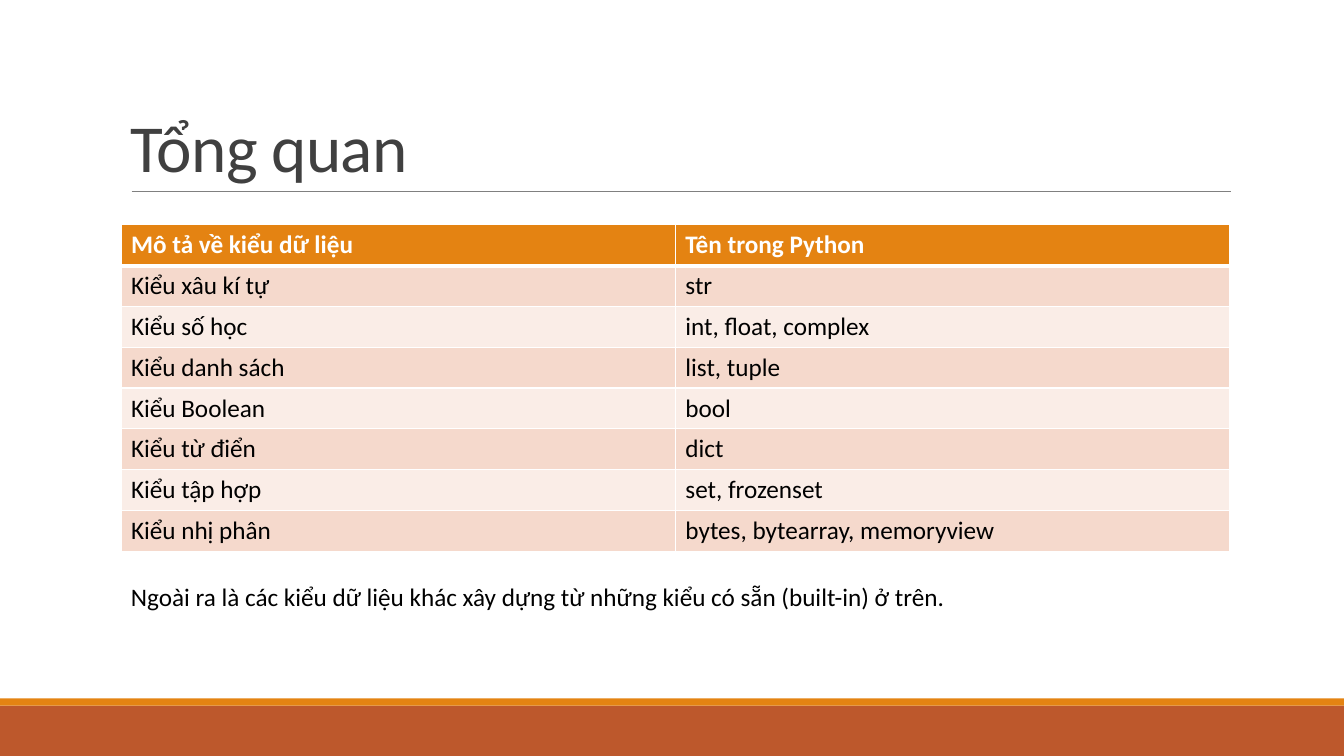
"""Build a slide that lists Python data types in a table."""
from lxml.etree import SubElement
from pptx import Presentation
from pptx.dml.color import RGBColor
from pptx.enum.shapes import MSO_CONNECTOR as CONN, MSO_SHAPE as SHAPE
from pptx.enum.text import MSO_ANCHOR as ANCHOR
from pptx.oxml.ns import qn
from pptx.util import Pt

COLORS = {"rust": "BD582C", "orange": "E48312", "rule": "808080",
          "title": "404040", "text": "000000", "white": "FFFFFF",
          "odd": "F5D9CC", "even": "FAEDE7"}
FONT = "Calibri"
LEFT, WIDTH = 86.4, 792
ROW_HEIGHT = 29.16
ROWS = [
    ("Mô tả về kiểu dữ liệu", "Tên trong Python"),
    ("Kiểu xâu kí tự", "str"),
    ("Kiểu số học", "int, float, complex"),
    ("Kiểu danh sách", "list, tuple"),
    ("Kiểu Boolean", "bool"),
    ("Kiểu từ điển", "dict"),
    ("Kiểu tập hợp", "set, frozenset"),
    ("Kiểu nhị phân", "bytes, bytearray, memoryview"),
]


def rgb(name):
    return RGBColor.from_string(COLORS[name])


def set_text(tf, text, size, color, bold=False):
    p = tf.paragraphs[0]
    r = p.add_run()
    r.text = text
    font = p.font
    font.name, font.size, font.bold = FONT, Pt(size), bold
    font.color.rgb = rgb(color)
    return p


def add_band(s, top, height, color):
    sp = s.shapes.add_shape(SHAPE.RECTANGLE, 0, Pt(top), Pt(960), Pt(height))
    sp.shadow.inherit = False
    sp.fill.solid()
    sp.fill.fore_color.rgb = rgb(color)
    sp.line.fill.background()


def add_rule(s, x1, x2, y):
    line = s.shapes.add_connector(CONN.STRAIGHT, Pt(x1), Pt(y), Pt(x2), Pt(y))
    line.line.color.rgb = rgb("rule")
    line.line.width = Pt(0.5)
    SubElement(line._element.spPr, qn("a:effectLst"))


def add_text(s, top, height, text, size, color, anchor=ANCHOR.TOP):
    box = s.shapes.add_textbox(Pt(LEFT), Pt(top), Pt(WIDTH), Pt(height))
    tf = box.text_frame
    tf.word_wrap = True
    tf.vertical_anchor = anchor
    return set_text(tf, text, size, color)


def add_borders(cell, top, bottom):
    tcPr = cell._tc.get_or_add_tcPr()
    for side, width in (("L", 1), ("R", 1), ("T", top), ("B", bottom)):
        ln = SubElement(tcPr, qn(f"a:ln{side}"), w=str(Pt(width)))
        fill = SubElement(ln, qn("a:solidFill"))
        SubElement(fill, qn("a:srgbClr"), val=COLORS["white"])


def add_types_table(s, top):
    n_rows, n_cols = len(ROWS), len(ROWS[0])
    table = s.shapes.add_table(n_rows, n_cols, Pt(LEFT), Pt(top), Pt(WIDTH),
                               Pt(ROW_HEIGHT * n_rows)).table
    for i, texts in enumerate(ROWS):
        table.rows[i].height = Pt(ROW_HEIGHT)
        header = i == 0
        fill = "orange" if header else "odd" if i % 2 else "even"
        for j, text in enumerate(texts):
            cell = table.cell(i, j)
            add_borders(cell, 3 if i == 1 else 1, 3 if header else 1)
            cell.fill.solid()
            cell.fill.fore_color.rgb = rgb(fill)
            set_text(cell.text_frame, text, 18,
                     "white" if header else "text", header)


def main():
    prs = Presentation()
    prs.slide_width, prs.slide_height = Pt(960), Pt(540)
    s = prs.slides.add_slide(prs.slide_layouts[6])
    add_band(s, 504, 36, "rust")
    add_band(s, 498.8, 5.2, "orange")
    add_rule(s, 94, 879, 136.5)
    title = add_text(s, 22.6, 114.2, "Tổng quan", 48, "title", ANCHOR.BOTTOM)
    title.line_spacing = 0.85
    title.runs[0].font._element.set("spc", "-50")
    add_types_table(s, 160.6)
    add_text(s, 412, 29.1, "Ngoài ra là các kiểu dữ liệu khác xây dựng từ "
             "những kiểu có sẵn (built-in) ở trên.", 18, "text")
    prs.save("out.pptx")


if __name__ == "__main__":
    main()
